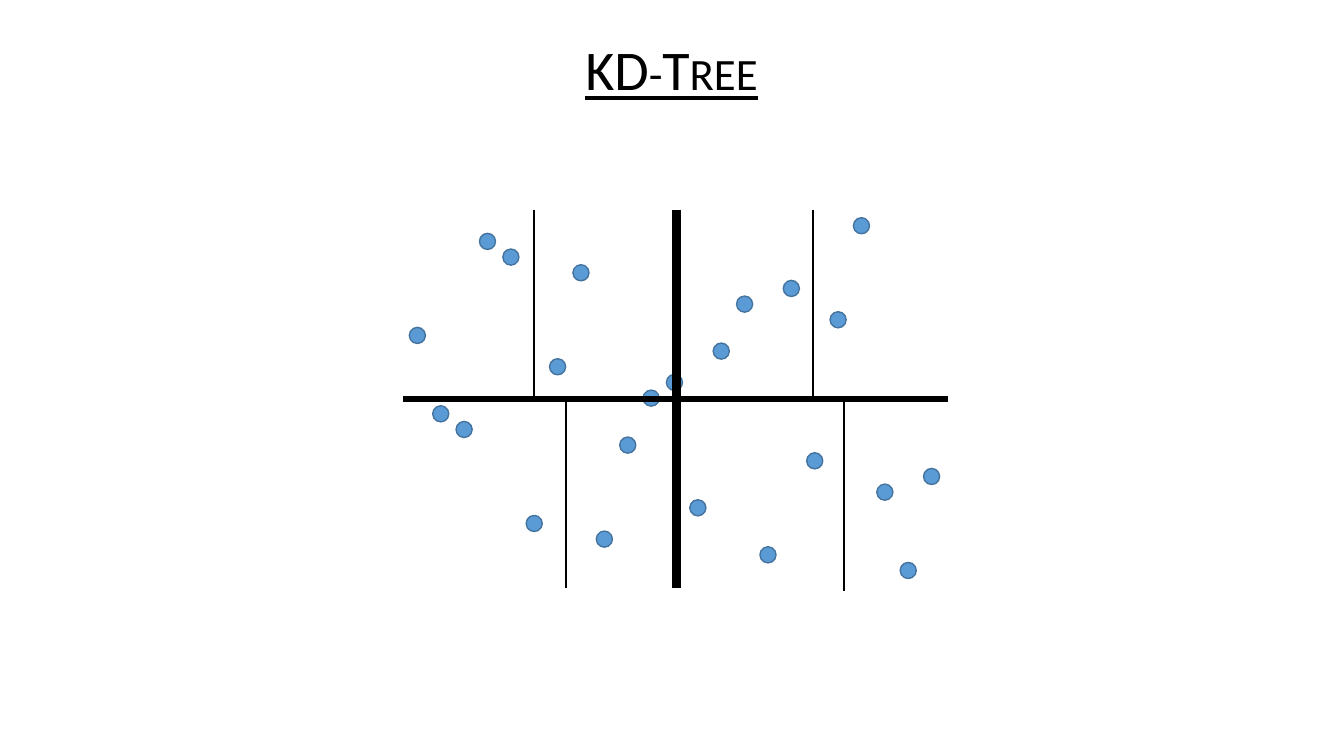
from dataclasses import dataclass

from lxml.etree import SubElement
from pptx import Presentation
from pptx.dml.color import RGBColor
from pptx.enum.shapes import MSO_CONNECTOR, MSO_SHAPE
from pptx.enum.text import MSO_ANCHOR, MSO_AUTO_SIZE, PP_ALIGN
from pptx.oxml.ns import qn
from pptx.util import Inches, Pt


@dataclass(frozen=True)
class Theme:
    font: str = "Calibri"
    title_size: float = 40
    ink: RGBColor = RGBColor(0x00, 0x00, 0x00)
    point_fill: RGBColor = RGBColor(0x5B, 0x9B, 0xD5)
    point_outline: RGBColor = RGBColor(0x43, 0x73, 0x9E)
    point_outline_width: float = 1
    root_width: float = 6
    branch_width: float = 4
    leaf_width: float = 1.5


POINT_SIZE = 0.16
FIRST_POINT = (4.06, 2.16)
LAST_POINT = (9.16, 5.58)
POINT_ROWS = [7, 12, 13, 1, 2, 19, 9, 3, 20, 14, 11, 10,
              18, 8, 5, 21, 4, 15, 6, 0, 17, 22, 16]

TOP, MIDDLE, BOTTOM = 2.08, 3.96, 5.83
LEFT, CENTER, RIGHT = 4, 6.71, 9.4
LEAF_LENGTH = 1.9
LEAF_SPLITS = [(8.06, TOP), (8.37, MIDDLE), (5.3, TOP), (5.61, BOTTOM - LEAF_LENGTH)]


class SlideBuilder:
    def __init__(self, slide, theme):
        self.slide = slide
        self.theme = theme

    def title(self, text, left, top, width, height):
        shape = self.slide.shapes.title
        shape.left, shape.top = Inches(left), Inches(top)
        shape.width, shape.height = Inches(width), Inches(height)
        text_frame = shape.text_frame
        text_frame.text = text
        text_frame.word_wrap = True
        text_frame.auto_size = MSO_AUTO_SIZE.NONE
        text_frame.vertical_anchor = MSO_ANCHOR.MIDDLE
        paragraph = text_frame.paragraphs[0]
        paragraph.alignment = PP_ALIGN.CENTER
        paragraph.line_spacing = 0.9
        run = paragraph.runs[0]
        run.font.name = self.theme.font
        run.font.size = Pt(self.theme.title_size)
        run.font.color.rgb = self.theme.ink
        run.font.underline = True
        run.font._element.set("cap", "small")

    def points(self, rows):
        group = self.slide.shapes.add_group_shape()
        steps = len(rows) - 1
        column_step, row_step = [
            (last - first) / steps for first, last in zip(FIRST_POINT, LAST_POINT)
        ]
        for column, row in enumerate(rows):
            shape = group.shapes.add_shape(
                MSO_SHAPE.OVAL,
                Inches(FIRST_POINT[0] + column * column_step),
                Inches(FIRST_POINT[1] + row * row_step),
                Inches(POINT_SIZE), Inches(POINT_SIZE),
            )
            shape.shadow.inherit = False
            shape.fill.solid()
            shape.fill.fore_color.rgb = self.theme.point_fill
            shape.line.color.rgb = self.theme.point_outline
            shape.line.width = Pt(self.theme.point_outline_width)

    def split(self, start, end, width):
        connector = self.slide.shapes.add_connector(
            MSO_CONNECTOR.STRAIGHT, *map(Inches, start + end)
        )
        connector.line.color.rgb = self.theme.ink
        connector.line.width = Pt(width)
        SubElement(connector._element.spPr, qn("a:effectLst"))


def main():
    presentation = Presentation()
    presentation.slide_width = Inches(13.33)
    presentation.slide_height = Inches(7.5)
    slide = presentation.slides.add_slide(presentation.slide_layouts[5])
    theme = Theme()
    builder = SlideBuilder(slide, theme)

    builder.title("KD-Tree", 1.74, 0.29, 9.84, 0.85)
    builder.points(POINT_ROWS)
    builder.split((CENTER, TOP), (CENTER, BOTTOM), theme.root_width)
    builder.split((RIGHT, MIDDLE), (LEFT, MIDDLE), theme.branch_width)
    for x, y in LEAF_SPLITS:
        builder.split((x, y), (x, y + LEAF_LENGTH), theme.leaf_width)

    presentation.save("out.pptx")


if __name__ == "__main__":
    main()
